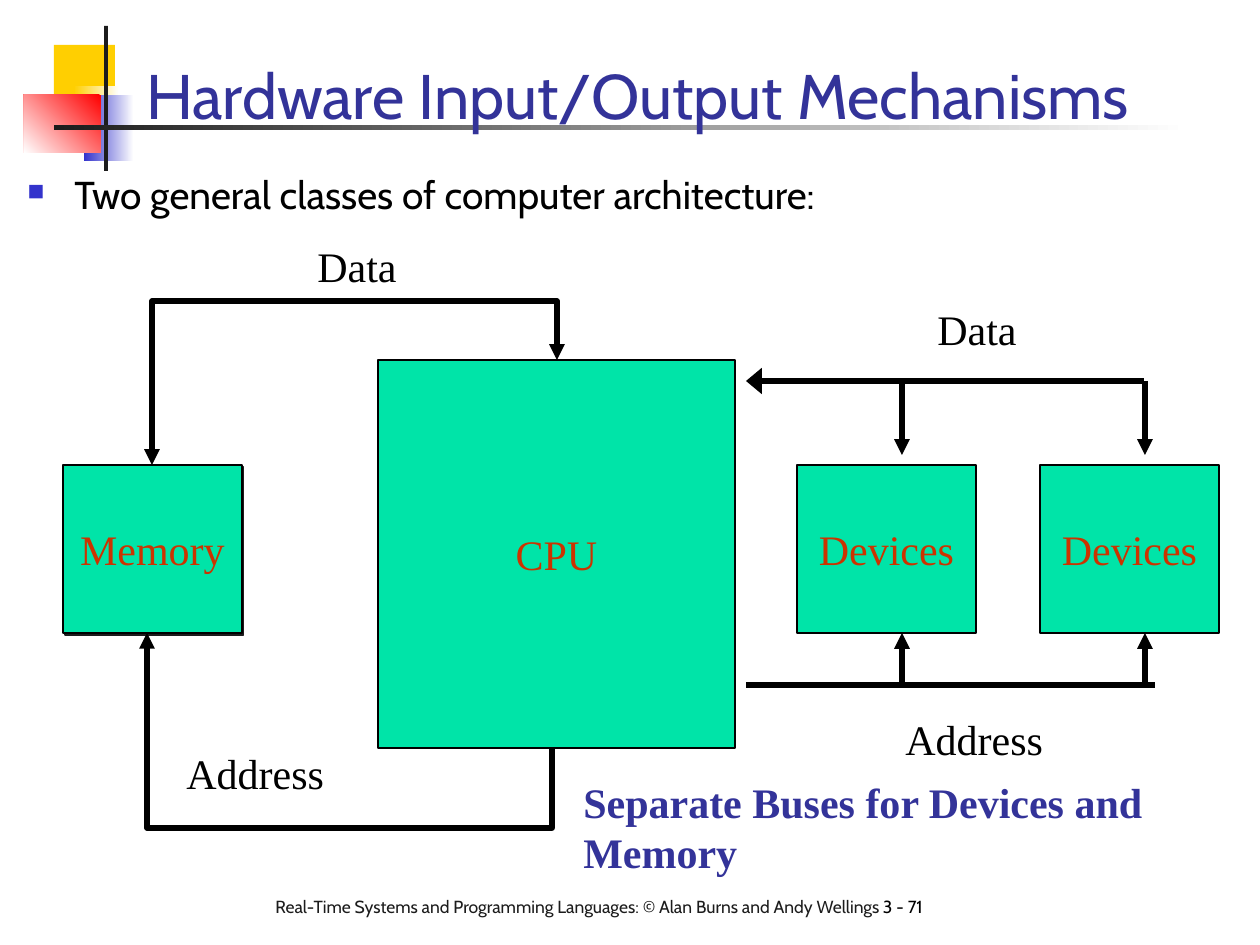
from lxml.etree import SubElement
from pptx import Presentation
from pptx.dml.color import RGBColor
from pptx.enum.shapes import MSO_CONNECTOR, MSO_SHAPE
from pptx.enum.text import MSO_ANCHOR, PP_ALIGN
from pptx.oxml.ns import qn
from pptx.util import Emu, Pt

SANS, SERIF = "Cabin", "Times New Roman"
BLACK, DARK, NAVY, BLUE = "000000", "1C1C1C", "333399", "3333CC"
YELLOW, RED, WHITE = "FFCF01", "FF0000", "FFFFFF"
GREEN, RUST = "00E4A8", "CC3300"


def px(length):
    return Emu(round(length * 914400 / 126))


def color(value):
    return RGBColor.from_string(value)


def write(shape, text, size=24, font=SERIF, fill=BLACK, bold=False, wrap=True,
          align=PP_ALIGN.LEFT, anchor=MSO_ANCHOR.TOP):
    frame = shape.text_frame
    frame.word_wrap = wrap
    frame.vertical_anchor = anchor
    paragraph = frame.paragraphs[0]
    paragraph.alignment = align
    add_run(paragraph, text, size, font, fill, bold)
    return paragraph


def add_run(paragraph, text, size, font, fill, bold=False):
    run = paragraph.add_run()
    run.text = text
    run.font.size = Pt(size)
    run.font.name = font
    run.font.bold = bold
    run.font.color.rgb = color(fill)


def add_text(slide, box, text, **style):
    return write(slide.shapes.add_textbox(*map(px, box)), text, **style)


def add_rectangle(slide, box):
    shape = slide.shapes.add_shape(MSO_SHAPE.RECTANGLE, *map(px, box))
    shape.shadow.inherit = False
    shape.line.fill.background()
    return shape


def add_gradient(slide, box, start, end, angle=180):
    fill = add_rectangle(slide, box).fill
    fill.gradient()
    fill.gradient_angle = angle
    for stop, value in zip(fill.gradient_stops, (start, end)):
        stop.color.rgb = color(value)


def add_solid(slide, box, value):
    shape = add_rectangle(slide, box)
    shape.fill.solid()
    shape.fill.fore_color.rgb = color(value)
    return shape


def add_unit(slide, box, name):
    shape = add_solid(slide, box, GREEN)
    shape.line.color.rgb = color(BLACK)
    shape.line.width = Pt(1)
    write(shape, name, fill=RUST, wrap=False,
          align=PP_ALIGN.CENTER, anchor=MSO_ANCHOR.MIDDLE)
    return shape


def add_hard_shadow(shape):
    effects = shape._element.spPr.find(qn("a:effectLst"))
    shadow = SubElement(effects, qn("a:outerShdw"), dist=str(Pt(1.4)),
                        dir="2700000", algn="ctr", rotWithShape="0")
    SubElement(shadow, qn("a:srgbClr"), val=DARK)


def add_wire(slide, start, end, kind=MSO_CONNECTOR.STRAIGHT, arrows=(), arrow_width="med"):
    wire = slide.shapes.add_connector(kind, *map(px, (*start, *end)))
    wire.line.color.rgb = color(BLACK)
    wire.line.width = Pt(3)
    for arrow in arrows:
        SubElement(wire.line._get_or_add_ln(), qn(f"a:{arrow}"),
                   type="triangle", w=arrow_width, len="med")
    SubElement(wire._element.spPr, qn("a:effectLst"))
    return wire


def add_elbow(slide, start, end, bend, turn, arrows):
    middle_x, middle_y = (start[0] + end[0]) / 2, (start[1] + end[1]) / 2
    sign = 1 if turn == 90 else -1
    across, down = sign * (start[1] - middle_y), sign * (middle_x - start[0])
    wire = add_wire(slide, (middle_x + across, middle_y + down),
                    (middle_x - across, middle_y - down), MSO_CONNECTOR.ELBOW, arrows)
    properties = wire._element.spPr
    properties.find(qn("a:xfrm")).set("rot", str(turn * 60000))
    geometry = properties.find(qn("a:prstGeom"))
    adjustments = geometry.find(qn("a:avLst"))
    if adjustments is None:
        adjustments = SubElement(geometry, qn("a:avLst"))
    ratio = (start[1] - bend) / (start[1] - end[1])
    SubElement(adjustments, qn("a:gd"), name="adj1", fmla=f"val {round(ratio * 100000)}")


def draw_ornament(slide, box):
    left, top, width, height = box
    add_solid(slide, (left + 30, top + 19, 61, 66), YELLOW)
    add_gradient(slide, (left + 50, top + 60, 45, 66), WHITE, YELLOW)
    add_gradient(slide, (left + 60, top + 69, 50, 66), WHITE, BLUE)
    add_gradient(slide, (left, top + 69, 77, 58), RED, WHITE, 225)
    add_solid(slide, (left + 80, top, 4, height), DARK)
    add_gradient(slide, (left + 30, top + 99, width - 30, 5), WHITE, DARK)


def draw_headings(slide, box):
    left, top, width, height = box
    add_text(slide, (left + 119, top, 1074, 122), "Hardware Input/Output Mechanisms",
             size=36, font=SANS, fill=NAVY, anchor=MSO_ANCHOR.BOTTOM)
    paragraph = add_text(slide, (left, top + height - 63, width, 63),
                         "Two general classes of computer architecture:", size=22.2, font=SANS)
    paragraph.space_before = Pt(6)
    properties = paragraph._p.get_or_add_pPr()
    properties.set("marL", str(px(47)))
    properties.set("indent", str(-px(47)))
    SubElement(SubElement(properties, qn("a:buClr")), qn("a:srgbClr"), val=BLUE)
    SubElement(properties, qn("a:buSzPct"), val="60000")
    SubElement(properties, qn("a:buChar"), char="■")


def draw_memory_side(slide, box):
    left, top, width, height = box
    add_unit(slide, (left + 315, top + 126, width - 315, 388), "CPU")
    add_hard_shadow(add_unit(slide, (left, top + 231, 179, 168), "Memory"))
    add_elbow(slide, (left + 89, top + 231), (left + 494, top + 126), top + 67, 90,
              ("headEnd", "tailEnd"))
    add_elbow(slide, (left + 84, top + 399), (left + 489, top + 514), top + height, 270,
              ("headEnd",))
    add_text(slide, (left + 242, top, 105, 63), "Data", wrap=False)
    add_text(slide, (left + 111, top + 507, 163, 63), "Address", wrap=False)


def draw_device_side(slide, box):
    left, top, width, height = box
    data_bus, address_bus = top + 84, top + 388
    add_wire(slide, (left + 398, data_bus), (left, data_bus),
             arrows=("tailEnd",), arrow_width="lg")
    add_wire(slide, (left, address_bus), (left + 409, address_bus))
    for device_left in (left + 51, left + width - 179):
        add_unit(slide, (device_left, top + 168, 179, 168), "Devices")
        tap = device_left + 105
        add_wire(slide, (tap, data_bus), (tap, top + 158), arrows=("tailEnd",))
        add_wire(slide, (tap, address_bus), (tap, top + 336), arrows=("tailEnd",))
    add_text(slide, (left + 179, top, 105, 63), "Data", wrap=False)
    add_text(slide, (left + 147, top + height - 63, 163, 63), "Address", wrap=False)


def draw_footer(slide, box):
    paragraph = add_text(
        slide, box,
        "Real-Time Systems and Programming Languages: © Alan Burns and Andy Wellings ",
        size=10, font=SANS, fill=DARK)
    add_run(paragraph, "3 - 71", 10, SANS, BLACK)


def main():
    presentation = Presentation()
    presentation.slide_width, presentation.slide_height = px(1260), px(945)
    slide = presentation.slides.add_slide(presentation.slide_layouts[6])
    draw_ornament(slide, (24, 26, 1164, 145))
    draw_footer(slide, (263, 890, 764, 58))
    draw_headings(slide, (15, 16, 1200, 212))
    draw_memory_side(slide, (63, 234, 672, 594))
    draw_device_side(slide, (746, 297, 473, 473))
    add_text(slide, (571, 770, 655, 113), "Separate Buses for Devices and Memory",
             fill=NAVY, bold=True)
    presentation.save("out.pptx")


if __name__ == "__main__":
    main()
